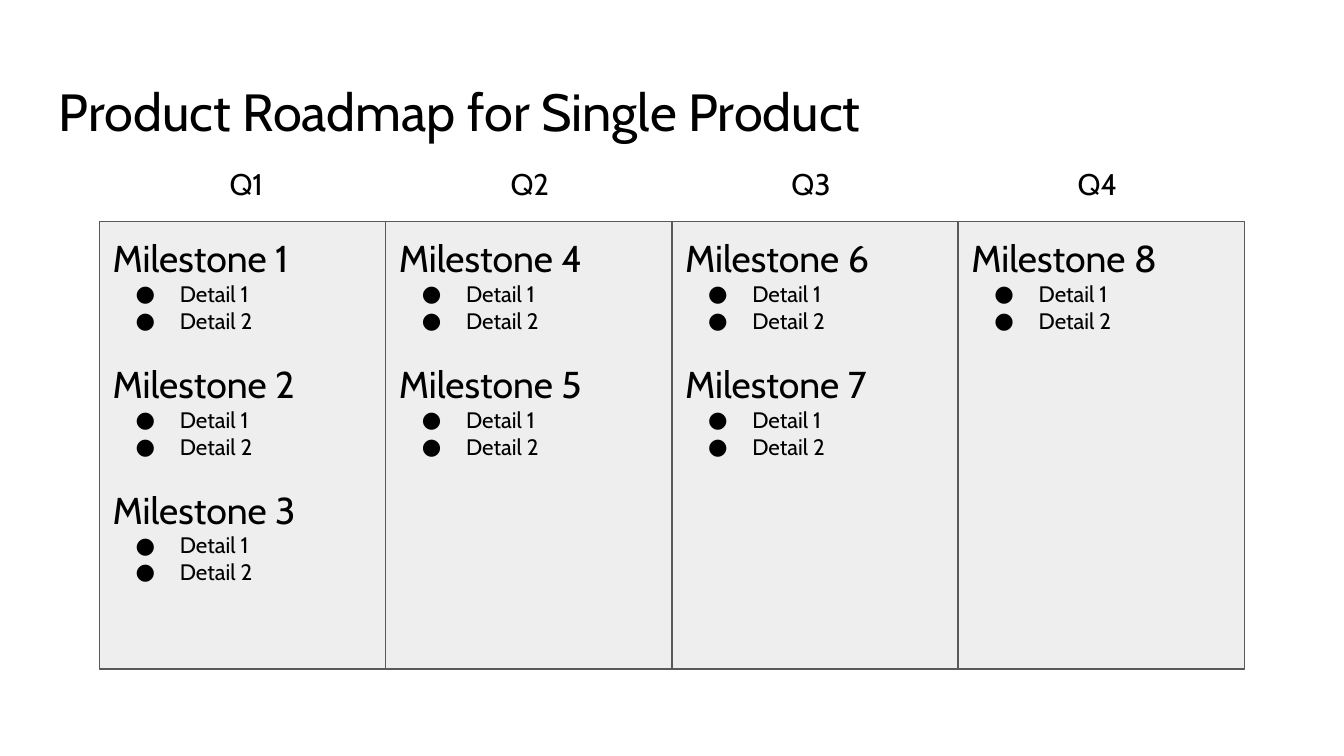
from dataclasses import dataclass

from lxml.etree import SubElement
from pptx import Presentation
from pptx.dml.color import RGBColor
from pptx.enum.shapes import MSO_SHAPE as Preset
from pptx.enum.text import MSO_ANCHOR as Anchor, PP_ALIGN as Align
from pptx.oxml.ns import qn
from pptx.util import Inches, Pt

BLACK = RGBColor(0x00, 0x00, 0x00)
PANEL_FILL = RGBColor(0xEE, 0xEE, 0xEE)
PANEL_LINE = RGBColor(0x59, 0x59, 0x59)
FONT = "Cabin"
SLIDE_WIDTH = 10
PANEL_LEFT, PANEL_TOP = 0.74, 1.65
PANEL_WIDTH, PANEL_HEIGHT = 2.13, 3.33
DETAILS = ("Detail 1", "Detail 2")
DETAIL_SIZE = 12


@dataclass
class Quarter:
    name: str
    label_left: float
    milestones: range


QUARTERS = [
    Quarter("Q1", 1.61, range(1, 4)),
    Quarter("Q2", 3.7, range(4, 6)),
    Quarter("Q3", 5.79, range(6, 8)),
    Quarter("Q4", 7.92, range(8, 9)),
]


def set_up_frame(text_frame) -> None:
    text_frame.word_wrap = True
    text_frame.vertical_anchor = Anchor.TOP
    text_frame.margin_left = text_frame.margin_right = Inches(0.1)
    text_frame.margin_top = text_frame.margin_bottom = Inches(0.1)


def write(paragraph, text: str, size: float) -> None:
    paragraph.text = text
    paragraph.alignment = Align.LEFT
    font = paragraph.runs[0].font
    font.name = FONT
    font.size = Pt(size)
    font.color.rgb = BLACK


def add_bullet(paragraph) -> None:
    properties = paragraph._p.get_or_add_pPr()
    properties.set("marL", str(Inches(0.5)))
    properties.set("indent", str(Inches(-0.33)))
    color = SubElement(properties, qn("a:buClr"))
    SubElement(color, qn("a:srgbClr")).set("val", str(BLACK))
    SubElement(properties, qn("a:buSzPts")).set("val", str(DETAIL_SIZE * 100))
    SubElement(properties, qn("a:buFont")).set("typeface", FONT)
    SubElement(properties, qn("a:buChar")).set("char", "●")


def add_label(slide, text: str, size: float, left: float, top: float,
              width: float, height: float) -> None:
    label = slide.shapes.add_textbox(
        Inches(left), Inches(top), Inches(width), Inches(height))
    set_up_frame(label.text_frame)
    write(label.text_frame.paragraphs[0], text, size)


def add_panel(slide, quarter: Quarter, column: int) -> None:
    panel = slide.shapes.add_shape(
        Preset.RECTANGLE, Inches(PANEL_LEFT + column * PANEL_WIDTH),
        Inches(PANEL_TOP), Inches(PANEL_WIDTH), Inches(PANEL_HEIGHT))
    panel.shadow.inherit = False
    panel.fill.solid()
    panel.fill.fore_color.rgb = PANEL_FILL
    panel.line.color.rgb = PANEL_LINE
    panel.line.width = Pt(0.75)
    text_frame = panel.text_frame
    set_up_frame(text_frame)
    for position, number in enumerate(quarter.milestones):
        if position == 0:
            heading = text_frame.paragraphs[0]
        else:
            heading = text_frame.add_paragraph()
            heading.space_before = Pt(14.6)
        write(heading, f"Milestone {number}", 20)
        for detail in DETAILS:
            paragraph = text_frame.add_paragraph()
            write(paragraph, detail, DETAIL_SIZE)
            add_bullet(paragraph)


def main() -> None:
    presentation = Presentation()
    presentation.slide_width = Inches(SLIDE_WIDTH)
    presentation.slide_height = Inches(SLIDE_WIDTH * 9 / 16)
    slide = presentation.slides.add_slide(presentation.slide_layouts[6])
    add_label(slide, "Product Roadmap for Single Product", 28,
              0.34, 0.49, 9.32, 0.63)
    for column, quarter in enumerate(QUARTERS):
        add_panel(slide, quarter, column)
        add_label(slide, quarter.name, 16, quarter.label_left, 1.13, 0.55, 0.31)
    presentation.save("out.pptx")


if __name__ == "__main__":
    main()
